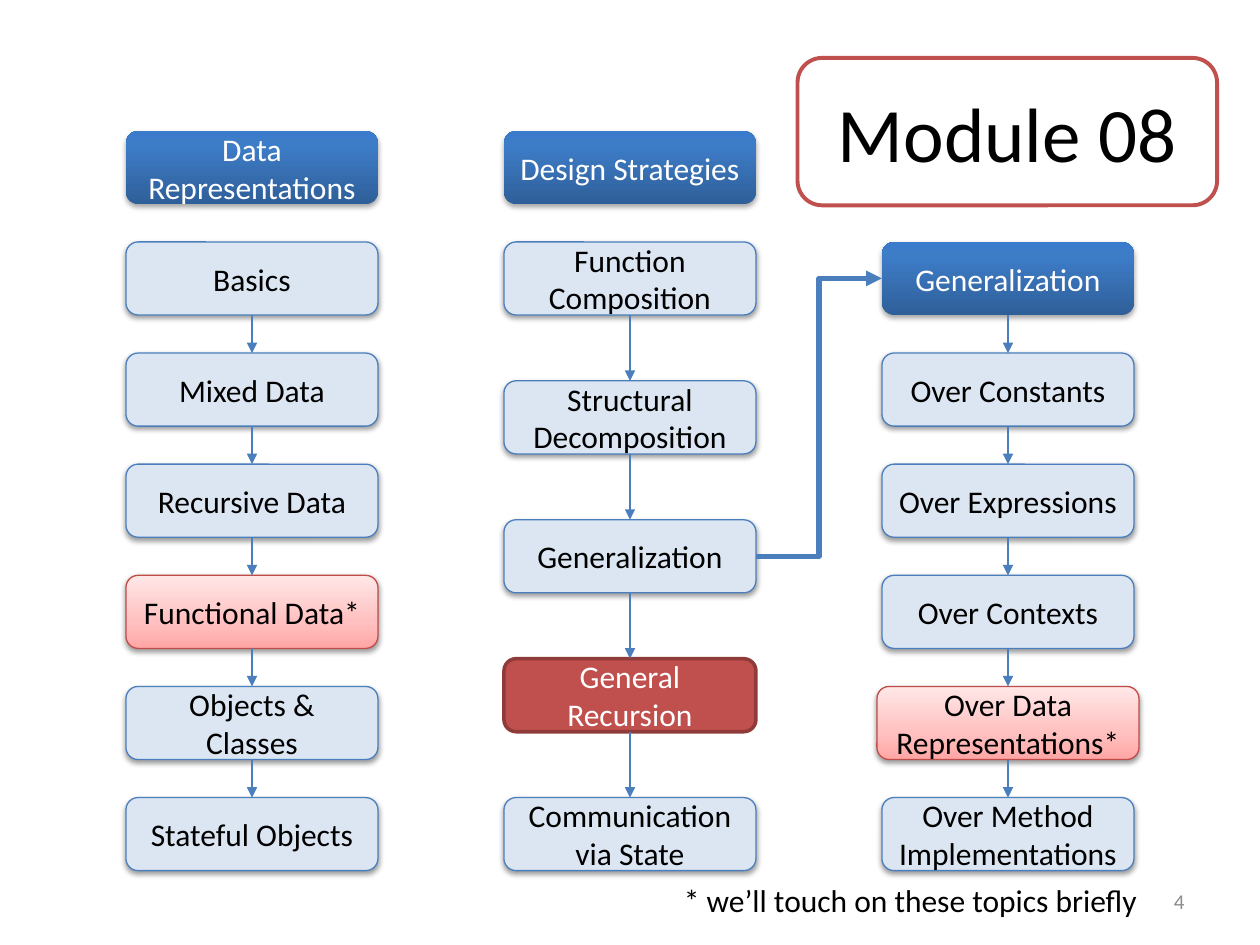
"""Build the Module 08 course map slide."""
from lxml.etree import SubElement
from pptx import Presentation
from pptx.dml.color import RGBColor
from pptx.enum.shapes import MSO_CONNECTOR, MSO_SHAPE
from pptx.enum.text import MSO_ANCHOR, PP_ALIGN
from pptx.oxml.ns import qn
from pptx.util import Inches, Pt

BLACK = RGBColor(0x00, 0x00, 0x00)
WHITE = RGBColor(0xFF, 0xFF, 0xFF)
GREY = RGBColor(0x8C, 0x8C, 0x8C)
BLUE = RGBColor(0x4B, 0x7E, 0xBC)
PALE_BLUE = RGBColor(0xDC, 0xE6, 0xF2)
RED = RGBColor(0xC0, 0x50, 0x4D)
ROSE = RGBColor(0xBF, 0x4C, 0x48)
DARK_RED = RGBColor(0x8E, 0x3B, 0x39)
BLUE_GRADIENT = [(0, RGBColor(0x2F, 0x5F, 0x99)), (80, RGBColor(0x3D, 0x7C, 0xC7)),
                 (100, RGBColor(0x3A, 0x7C, 0xCB))]
PINK_GRADIENT = [(0, RGBColor(0xFF, 0xA6, 0xA5)), (35, RGBColor(0xFF, 0xC0, 0xBF)),
                 (100, RGBColor(0xFF, 0xE7, 0xE7))]

STYLES = {
    "heading": dict(fill=BLUE_GRADIENT, color=WHITE, shadow=(35, 1.8)),
    "topic": dict(fill=PALE_BLUE, line=BLUE, shadow=(38, 1.6)),
    "brief": dict(fill=PINK_GRADIENT, line=ROSE, shadow=(38, 1.6)),
    "current": dict(fill=RED, line=DARK_RED, line_width=2, color=WHITE),
}

COLUMNS = [
    (1, "Data Representations", [
        ("Basics", "topic"), ("Mixed Data", "topic"), ("Recursive Data", "topic"),
        ("Functional Data*", "brief"), ("Objects & Classes", "topic"),
        ("Stateful Objects", "topic")]),
    (4, "Design Strategies", [
        ("Function Composition", "topic"), ("Structural Decomposition", "topic"),
        ("Generalization", "topic"), ("General Recursion", "current"),
        ("Communication via State", "topic")]),
    (7, None, [
        ("Generalization", "heading"), ("Over Constants", "topic"),
        ("Over Expressions", "topic"), ("Over Contexts", "topic"),
        ("Over Data Representations*", "brief"),
        ("Over Method Implementations", "topic")]),
]
MODULE = "Module 08"
FOOTNOTE = "* we\u2019ll touch on these topics briefly"
PAGE = "4"

BOX_WIDTH, BOX_HEIGHT = 2, 0.58
HEADING_TOP, FIRST_TOP, LAST_TOP = 1.04, 1.92, 6.33
EXTRA_WIDTH = {"Over Data Representations*": 0.08}

deck = Presentation()
deck.slide_width, deck.slide_height = Inches(10), Inches(7.5)
slide = deck.slides.add_slide(deck.slide_layouts[6])


def write(shape, text, size=18, color=BLACK, align=PP_ALIGN.CENTER,
          anchor=MSO_ANCHOR.MIDDLE, wrap=True):
    frame = shape.text_frame
    frame.word_wrap = wrap
    frame.vertical_anchor = anchor
    paragraph = frame.paragraphs[0]
    paragraph.alignment = align
    run = paragraph.add_run()
    run.text = text
    run.font.size = Pt(size)
    run.font.name = "Calibri"
    run.font.color.rgb = color


def paint(shape, fill):
    if fill is None:
        shape.fill.background()
    elif isinstance(fill, RGBColor):
        shape.fill.solid()
        shape.fill.fore_color.rgb = fill
    else:
        shape.fill.gradient()
        shape.fill.gradient_angle = 90
        stops = next(shape._element.spPr.iter(qn("a:gsLst")))
        for stop in list(stops):
            stops.remove(stop)
        for position, color in fill:
            stop = SubElement(stops, qn("a:gs"), pos=str(position * 1000))
            SubElement(stop, qn("a:srgbClr"), val=str(color))


def cast_shadow(shape, opacity, distance):
    effects = shape._element.spPr.find(qn("a:effectLst"))
    outer = SubElement(effects, qn("a:outerShdw"), blurRad=str(Pt(3.1)),
                       dist=str(Pt(distance)), dir="5400000", rotWithShape="0")
    black = SubElement(outer, qn("a:srgbClr"), val=str(BLACK))
    SubElement(black, qn("a:alpha"), val=str(opacity * 1000))


def add_box(text, left, top, width=BOX_WIDTH, height=BOX_HEIGHT, fill=None,
            line=None, line_width=0.75, shadow=None, **text_format):
    box = slide.shapes.add_shape(MSO_SHAPE.ROUNDED_RECTANGLE, Inches(left),
                                 Inches(top), Inches(width), Inches(height))
    paint(box, fill)
    if line is None:
        box.line.fill.background()
    else:
        box.line.color.rgb = line
        box.line.width = Pt(line_width)
    box.shadow.inherit = False
    if shadow:
        cast_shadow(box, *shadow)
    write(box, text, **text_format)
    return box


def add_arrow(kind, source, source_site, target, target_site, width):
    arrow = slide.shapes.add_connector(kind, 0, 0, 0, 0)
    arrow.begin_connect(source, source_site)
    arrow.end_connect(target, target_site)
    arrow.line.color.rgb = BLUE
    arrow.line.width = Pt(width)
    SubElement(arrow.line._get_or_add_ln(), qn("a:tailEnd"), type="triangle")
    SubElement(arrow._element.spPr, qn("a:effectLst"))


def add_label(text, left, top, width, height, **text_format):
    label = slide.shapes.add_textbox(Inches(left), Inches(top),
                                     Inches(width), Inches(height))
    write(label, text, **text_format)


chains = []
for left, heading, topics in COLUMNS:
    if heading:
        add_box(heading, left, HEADING_TOP, **STYLES["heading"])
    step = (LAST_TOP - FIRST_TOP) / (len(topics) - 1)
    chain = []
    for row, (topic, style) in enumerate(topics):
        extra = EXTRA_WIDTH.get(topic, 0)
        chain.append(add_box(topic, left - extra / 2, FIRST_TOP + row * step,
                             width=BOX_WIDTH + extra, **STYLES[style]))
    for upper, lower in zip(chain, chain[1:]):
        add_arrow(MSO_CONNECTOR.STRAIGHT, upper, 2, lower, 0, 0.75)
    chains.append(chain)

add_arrow(MSO_CONNECTOR.ELBOW, chains[1][2], 3, chains[2][0], 1, 3)
add_box(MODULE, 6.33, 0.46, 3.33, 1.17, line=RED, line_width=2.25, size=44)
add_label(PAGE, 7.17, 6.95, 2.33, 0.4, size=12, color=GREY, align=PP_ALIGN.RIGHT)
add_label(FOOTNOTE, 5.33, 6.94, 3.84, 0.4, align=PP_ALIGN.LEFT,
          anchor=MSO_ANCHOR.TOP, wrap=False)

deck.save("out.pptx")
